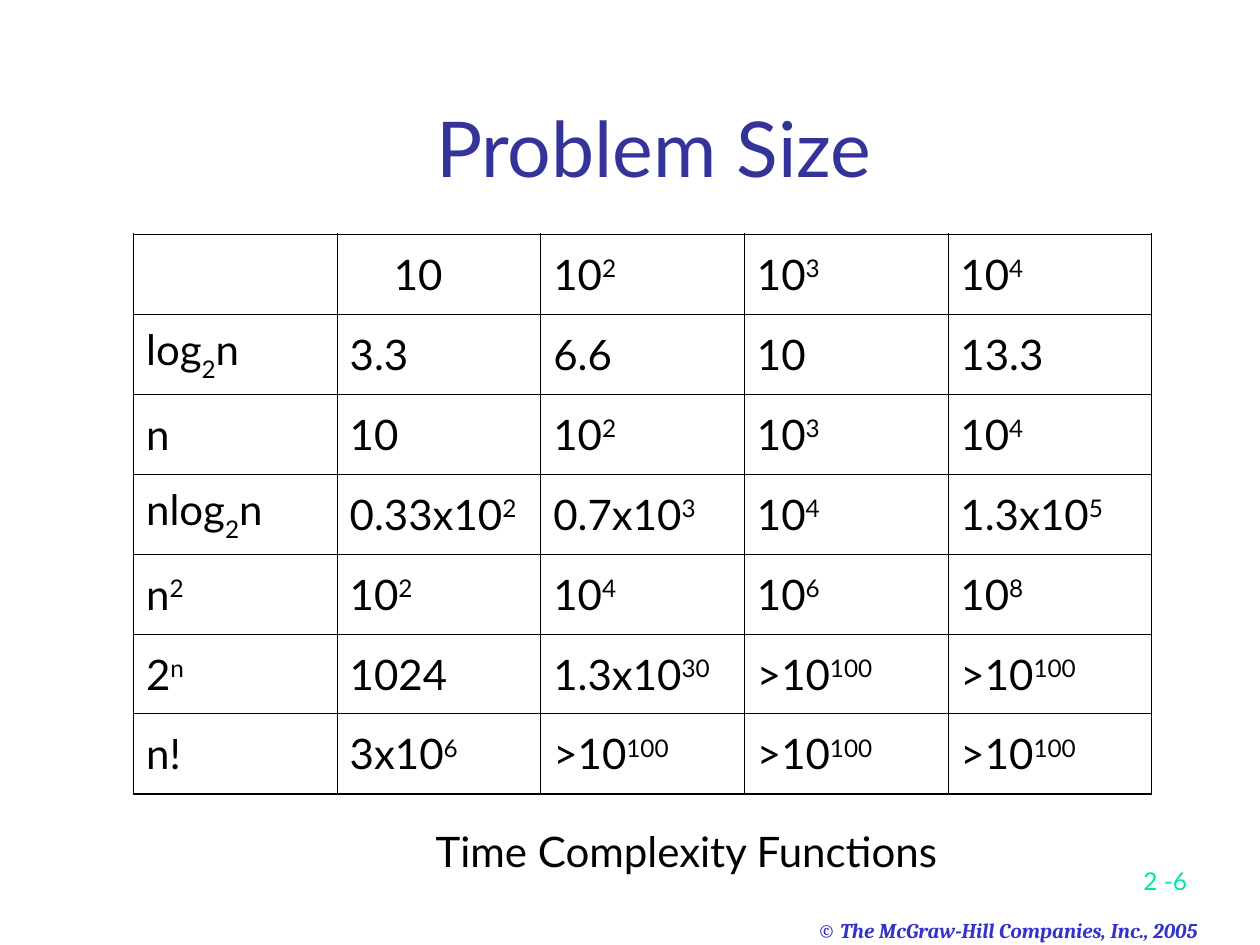
from typing import NamedTuple

from lxml.etree import SubElement
from pptx import Presentation
from pptx.dml.color import RGBColor
from pptx.enum.text import MSO_ANCHOR, MSO_AUTO_SIZE, PP_ALIGN
from pptx.oxml.ns import qn
from pptx.util import Inches, Pt

BLACK = "000000"
SHIFTS = {"^": "30000", "_": "-30000", "|": "0"}

# ^ raises, _ lowers, | returns to the baseline
ROWS = [
    ["", "10", "10^2", "10^3", "10^4"],
    ["log_2|n", "3.3", "6.6", "10", "13.3"],
    ["n", "10", "10^2", "10^3", "10^4"],
    ["nlog_2|n", "0.33x10^2", "0.7x10^3", "10^4", "1.3x10^5"],
    ["n^2", "10^2", "10^4", "10^6", "10^8"],
    ["2^n", "1024", "1.3x10^30", ">10^100", ">10^100"],
    ["n!", "3x10^6", ">10^100", ">10^100", ">10^100"],
]


class Box(NamedTuple):
    left: float
    top: float
    width: float
    height: float

    def place(self):
        return [Inches(n) for n in self]


class Label(NamedTuple):
    box: Box
    text: str
    style: dict
    wrap: bool = True
    anchor: MSO_ANCHOR = MSO_ANCHOR.TOP


LABELS = [
    Label(Box(3.36, 6.5, 4.3, 0.5), "Time Complexity Functions", {}),
    Label(Box(7.44, 6.66, 2.08, 0.5), "2 -6",
          dict(size=14, color="00E4A8", align=PP_ALIGN.RIGHT),
          anchor=MSO_ANCHOR.BOTTOM),
    Label(Box(6.39, 7.23, 3.68, 0.3), "© The McGraw-Hill Companies, Inc., 2005",
          dict(size=12, color="3333CC", face="Cambria", bold=True, slant=True),
          wrap=False),
]


def paint(code: str) -> RGBColor:
    return RGBColor.from_string(code)


def write(frame, text: str, size=24, color=BLACK, face="Lato", bold=False,
          slant=False, align=PP_ALIGN.LEFT, indent=0.0) -> None:
    para = frame.paragraphs[0]
    para.alignment = align
    para.space_before = Pt(0)
    if indent:
        para._p.get_or_add_pPr().set("marL", str(Inches(indent)))
    parts = [["0", ""]]
    for char in text:
        if char in SHIFTS:
            parts.append([SHIFTS[char], ""])
        else:
            parts[-1][1] += char
    for shift, words in parts:
        if not words:
            continue
        run = para.add_run()
        run.text = words
        font = run.font
        font.name, font.size = face, Pt(size)
        font.bold, font.italic = bold, slant
        font.color.rgb = paint(color)
        if shift != "0":
            run._r.get_or_add_rPr().set("baseline", shift)


def edge(cell, side: str, width: float) -> None:
    line = SubElement(cell._tc.get_or_add_tcPr(), qn(f"a:ln{side}"),
                      w=str(Pt(width)))
    fill = SubElement(line, qn("a:solidFill"))
    SubElement(fill, qn("a:srgbClr"), val=BLACK)


def add_label(slide, label: Label) -> None:
    frame = slide.shapes.add_textbox(*label.box.place()).text_frame
    frame.word_wrap = label.wrap
    frame.vertical_anchor = label.anchor
    write(frame, label.text, **label.style)


def add_grid(slide, rows: list[list[str]], box: Box) -> None:
    high, wide = len(rows), len(rows[0])
    table = slide.shapes.add_table(high, wide, *box.place()).table
    table.first_row = table.horz_banding = False
    for col in table.columns:
        col.width = Inches(box.width / wide)
    for r, row in enumerate(rows):
        table.rows[r].height = Inches(box.height / high)
        for c, text in enumerate(row):
            cell = table.cell(r, c)
            cell.vertical_anchor = MSO_ANCHOR.MIDDLE
            # The header of the first value column is set in
            write(cell.text_frame, text, indent=0.35 if (r, c) == (0, 1) else 0)
            # Outer edges are heavier than inner ones
            outer = {"L": c == 0, "R": c == wide - 1,
                     "T": r == 0, "B": r == high - 1}
            for side, heavy in outer.items():
                edge(cell, side, 1.08 if heavy else 0.45)
            cell.fill.background()


def main() -> None:
    deck = Presentation()
    deck.slide_width, deck.slide_height = Inches(10), Inches(7.5)
    slide = deck.slides.add_slide(deck.slide_layouts[5])

    # Title
    title = slide.shapes.title
    title.left, title.top, title.width, title.height = Box(
        0.93, 0.33, 8.52, 1.25).place()
    title.text_frame.auto_size = MSO_AUTO_SIZE.NONE
    title.text_frame.vertical_anchor = MSO_ANCHOR.BOTTOM
    write(title.text_frame, "Problem Size", size=44, color="333399",
          align=PP_ALIGN.CENTER)

    # Growth table
    add_grid(slide, ROWS, Box(1.06, 1.86, 8.08, 4.44))

    # Caption, page number and copyright line
    for label in LABELS:
        add_label(slide, label)

    deck.save("out.pptx")


if __name__ == "__main__":
    main()
